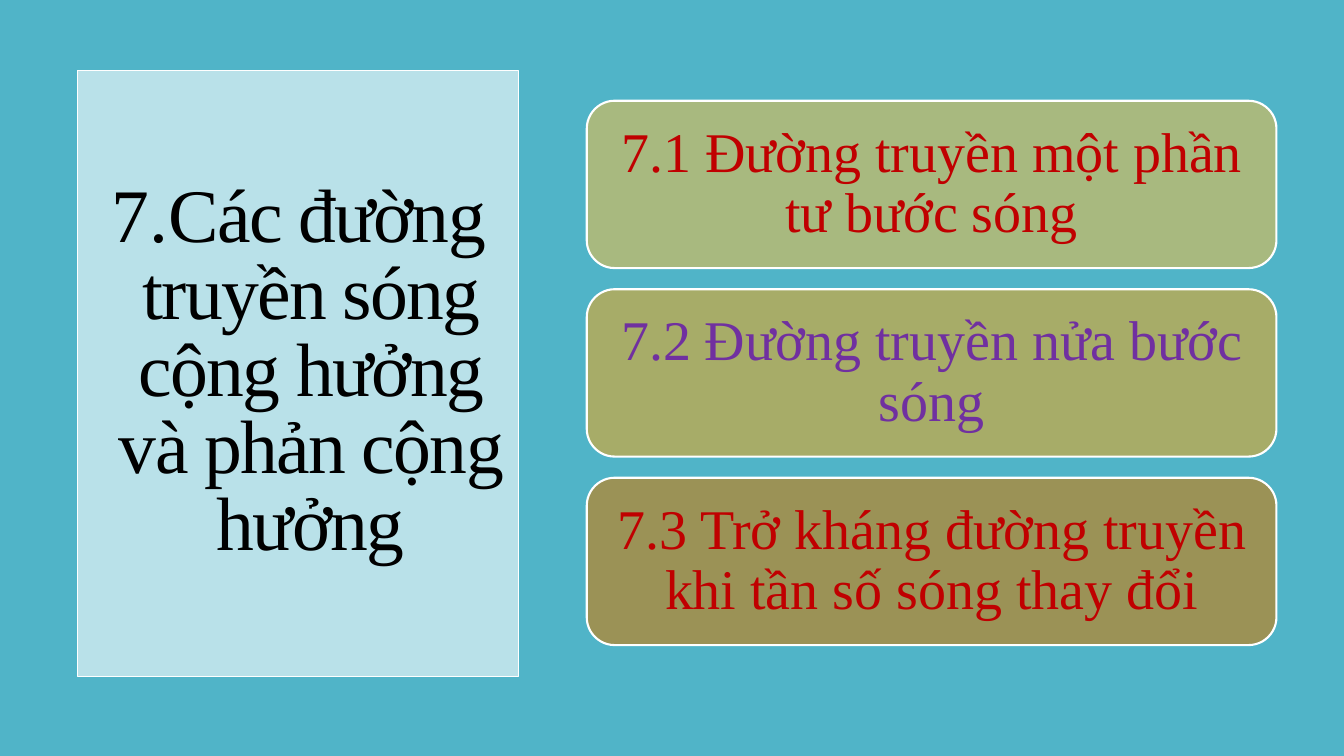
from dataclasses import dataclass

from lxml.etree import SubElement
from pptx import Presentation
from pptx.dml.color import RGBColor
from pptx.enum.shapes import MSO_SHAPE
from pptx.enum.text import MSO_ANCHOR, MSO_AUTO_SIZE, PP_ALIGN
from pptx.oxml.ns import qn
from pptx.util import Inches, Pt

TITLE = "Các đường truyền sóng cộng hưởng và phản cộng hưởng"
CHAPTER = 7
SECTIONS = [
    ("7.1 Đường truyền một phần tư bước sóng", "A8B97F", "C00000"),
    ("7.2 Đường truyền nửa bước sóng", "A7AC68", "7030A0"),
    ("7.3 Trở kháng đường truyền khi tần số sóng thay đổi", "9B9256", "C00000"),
]


@dataclass(frozen=True)
class Theme:
    font: str = "Times New Roman"
    background: str = "50B4C8"
    panel: str = "B9E1E9"
    outline: str = "FFFFFF"
    title_color: str = "000000"
    title_size: int = 54
    section_size: int = 40


THEME = Theme()
TITLE_BOX = (0.77, 0.7, 4.37, 6.01)
CARD_LEFT, CARD_TOP, CARD_WIDTH, CARD_HEIGHT = 5.82, 1, 6.84, 1.66
CARD_STEP = 1.87
CARD_INSET = 0.17
NUMBER_INDENT = 0.25


def paint(shape, fill, line_width):
    shape.fill.solid()
    shape.fill.fore_color.rgb = RGBColor.from_string(fill)
    shape.line.color.rgb = RGBColor.from_string(THEME.outline)
    shape.line.width = Pt(line_width)
    shape.shadow.inherit = False


def write(shape, text, *, size, color, line_spacing, inset=None, tracking=None):
    frame = shape.text_frame
    frame.word_wrap = True
    frame.auto_size = MSO_AUTO_SIZE.NONE
    frame.vertical_anchor = MSO_ANCHOR.MIDDLE
    if inset is not None:
        frame.margin_left = frame.margin_right = Inches(inset)
        frame.margin_top = frame.margin_bottom = Inches(inset)
    paragraph = frame.paragraphs[0]
    paragraph.alignment = PP_ALIGN.CENTER
    paragraph.line_spacing = line_spacing
    run = paragraph.add_run()
    run.text = text
    run.font.name = THEME.font
    run.font.size = Pt(size)
    run.font.color.rgb = RGBColor.from_string(color)
    if tracking is not None:
        run.font._element.set("spc", str(round(tracking * 100)))
    return paragraph


def number(paragraph, start):
    properties = paragraph._p.get_or_add_pPr()
    properties.set("marL", str(Inches(NUMBER_INDENT)))
    properties.set("indent", str(-Inches(NUMBER_INDENT)))
    SubElement(properties, qn("a:buFont"), typeface=THEME.font)
    SubElement(properties, qn("a:buAutoNum"), type="arabicPeriod", startAt=str(start))


def main():
    presentation = Presentation()
    presentation.slide_width = Inches(13.33)
    presentation.slide_height = Inches(7.5)
    slide = presentation.slides.add_slide(presentation.slide_layouts[5])
    slide.background.fill.solid()
    slide.background.fill.fore_color.rgb = RGBColor.from_string(THEME.background)

    title = slide.shapes.title
    title.left, title.top, title.width, title.height = map(Inches, TITLE_BOX)
    paint(title, THEME.panel, 0.75)
    heading = write(title, TITLE, size=THEME.title_size, color=THEME.title_color,
                    line_spacing=0.85, tracking=-1.2)
    number(heading, CHAPTER)

    for index, (text, fill, color) in enumerate(SECTIONS):
        card = slide.shapes.add_shape(
            MSO_SHAPE.ROUNDED_RECTANGLE, Inches(CARD_LEFT),
            Inches(CARD_TOP + index * CARD_STEP), Inches(CARD_WIDTH), Inches(CARD_HEIGHT))
        paint(card, fill, 1.5)
        write(card, text, size=THEME.section_size, color=color,
              line_spacing=0.9, inset=CARD_INSET)

    presentation.save("out.pptx")


if __name__ == "__main__":
    main()
